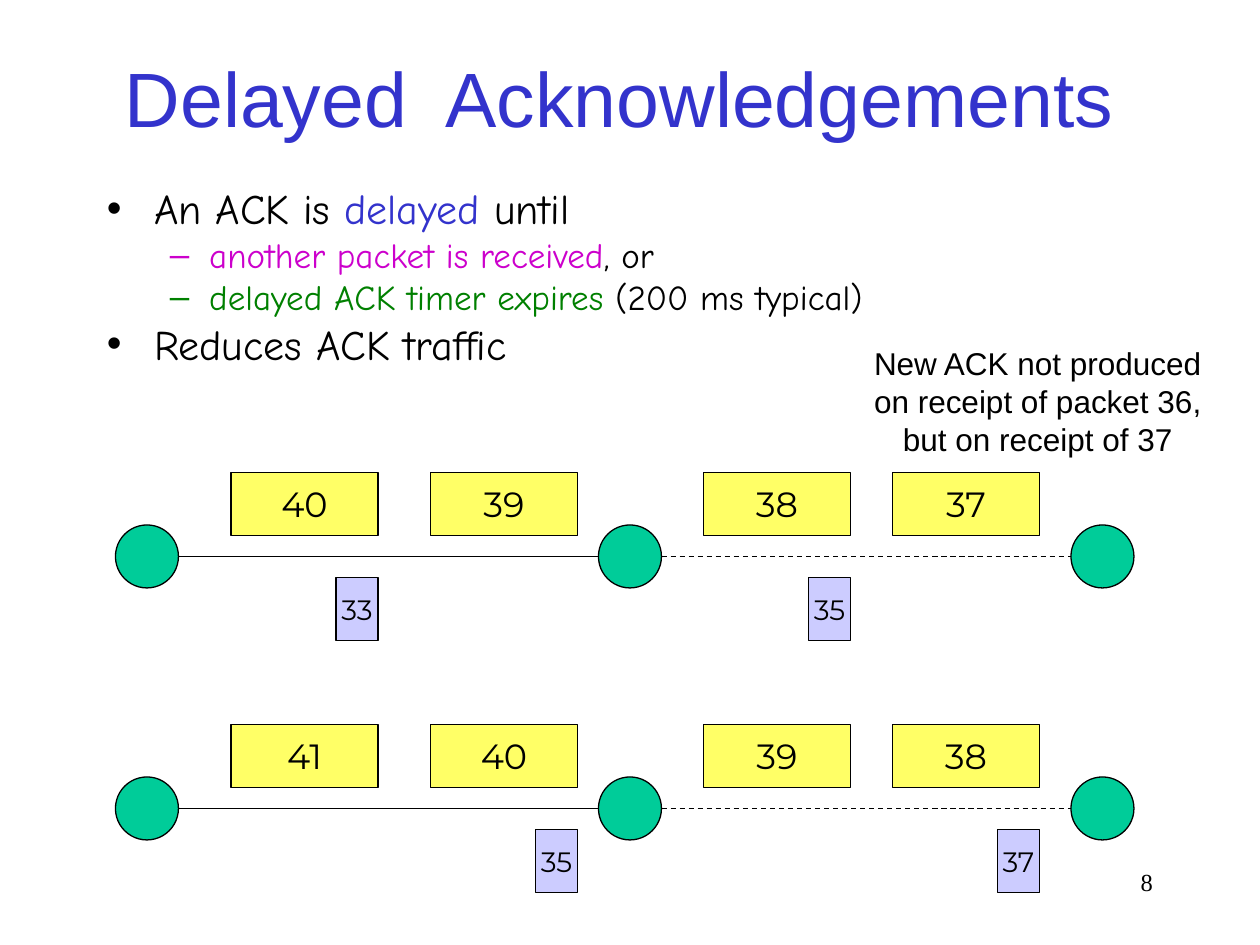
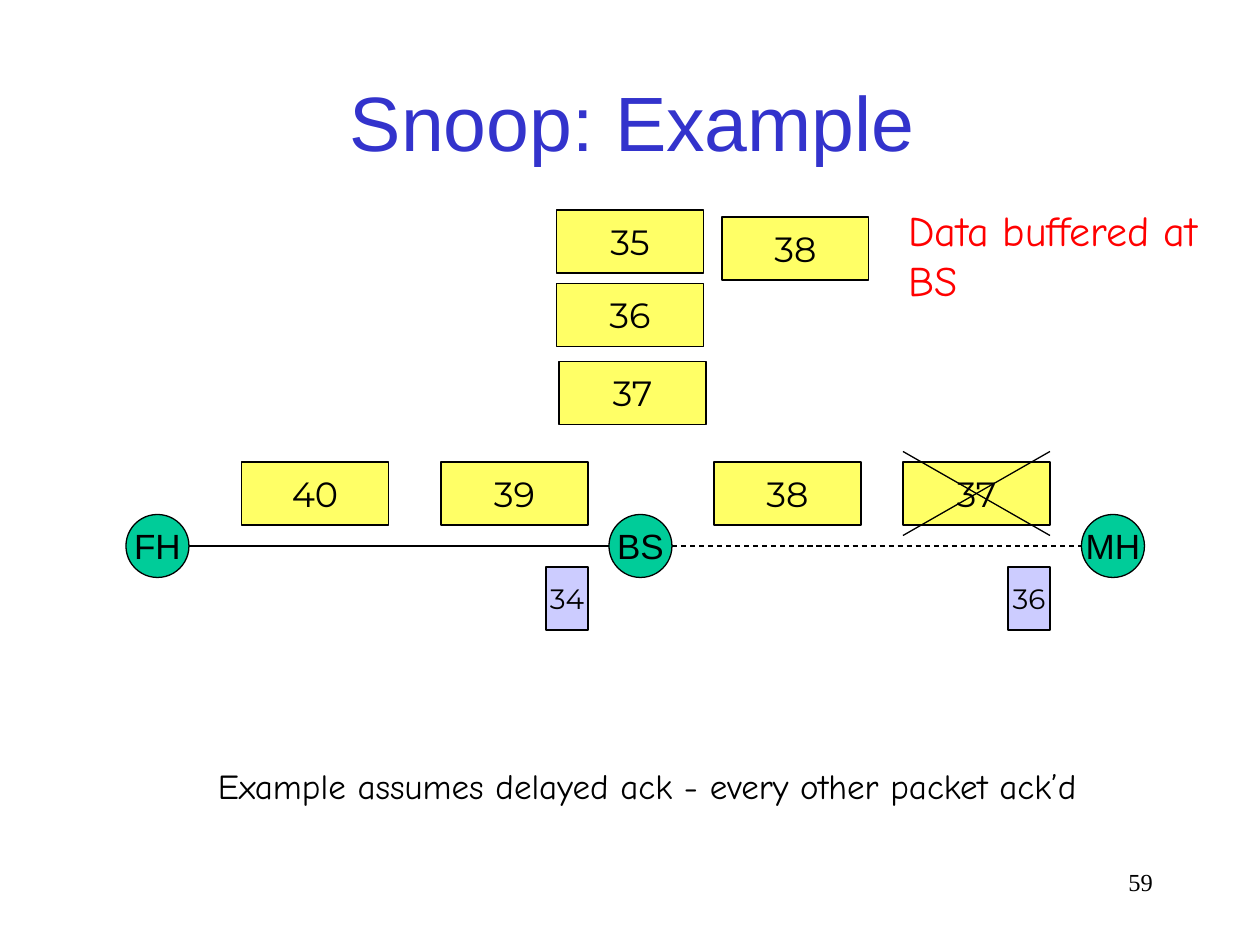
"""Build two slides on delayed acknowledgements and the Snoop protocol."""
from dataclasses import dataclass

import lxml.etree
import pptx
import pptx.dml.color
import pptx.enum.dml
import pptx.enum.shapes
import pptx.enum.text
import pptx.oxml.ns
import pptx.util

Pt = pptx.util.Pt
qn = pptx.oxml.ns.qn
Align = pptx.enum.text.PP_ALIGN
Anchor = pptx.enum.text.MSO_ANCHOR
AutoSize = pptx.enum.text.MSO_AUTO_SIZE
Shape = pptx.enum.shapes.MSO_SHAPE

COLORS = {
    "black": "000000",
    "blue": "3333CC",
    "magenta": "CC00CC",
    "green": "008000",
    "red": "FF0000",
    "node": "00CC99",
    "packet": "FFFF66",
    "ack": "CCCCFF",
}
SANS, HAND, DIGITS, SERIF = "Arial", "Comic Neue", "Montserrat", "Times New Roman"

NODE = 36
NODE_DX = (0, 276, 546)
PACKET_DX = (66, 180, 336, 444)
PACKET_W, ACK_W, BOX_H = 84, 24, 36
BOX_DY = 30
CROSS_MARGIN = 6


@dataclass(frozen=True)
class Box:
    x: float
    y: float
    w: float
    h: float


@dataclass(frozen=True)
class Level:
    char: str
    size: float
    left: float
    hang: float
    before: float


@dataclass(frozen=True)
class Bullet:
    level: int
    color: str
    runs: tuple[tuple[str, str], ...]


@dataclass(frozen=True)
class Link:
    x: float
    y: float
    packets: tuple[str, ...]
    acks: dict[int, str]
    nodes: tuple[str, ...] = ("", "", "")


LEVELS = (Level("•", 24, 27, 27, 6), Level("–", 20, 58.5, 22.5, 5))

BULLETS = (
    Bullet(0, "black", (("An ACK is ", "black"), ("delayed ", "blue"), ("until", "black"))),
    Bullet(1, "magenta", (("another packet is received", "magenta"), (", or", "black"))),
    Bullet(1, "green", (("delayed ACK timer expires", "green"), (" (200 ms typical)", "black"))),
    Bullet(0, "black", (("Reduces ACK traffic", "black"),)),
)

DELAYED_LINKS = (
    Link(66, 300, ("40", "39", "38", "37"), {0: "33", 2: "35"}),
    Link(66, 444, ("41", "40", "39", "38"), {1: "35", 3: "37"}),
)
SNOOP_LINK = Link(72, 294, ("40", "39", "38", "37"), {1: "34", 3: "36"}, ("FH", "BS", "MH"))
LOST_PACKET = 3
BUFFERED = (("35", 318, 120), ("36", 318, 162), ("38", 412.5, 124), ("37", 319.5, 206.5))


def rgb(name: str) -> pptx.dml.color.RGBColor:
    return pptx.dml.color.RGBColor.from_string(COLORS[name])


def place(sp, box: Box) -> None:
    sp.left, sp.top, sp.width, sp.height = (Pt(v) for v in (box.x, box.y, box.w, box.h))


def add_run(p, text: str, *, size: float, font: str, color: str = "black") -> None:
    r = p.add_run()
    r.text = text
    r.font.size = Pt(size)
    r.font.name = font
    r.font.color.rgb = rgb(color)


def write(tf, text: str, *, size: float, font: str, color: str = "black",
          align=Align.CENTER, anchor=Anchor.MIDDLE, wrap: bool = False,
          auto_size=AutoSize.NONE) -> None:
    tf.word_wrap = wrap
    tf.auto_size = auto_size
    tf.vertical_anchor = anchor
    for i, line in enumerate(text.split("\n")):
        p = tf.add_paragraph() if i else tf.paragraphs[0]
        p.alignment = align
        add_run(p, line, size=size, font=font, color=color)


def add_text(s, box: Box, text: str, **fmt) -> None:
    sp = s.shapes.add_textbox(0, 0, 0, 0)
    place(sp, box)
    write(sp.text_frame, text, **fmt)


def add_slide(prs, title: str, box: Box, number: str):
    s = prs.slides.add_slide(prs.slide_layouts[5])
    place(s.shapes.title, box)
    write(s.shapes.title.text_frame, title, size=44, font=SANS, color="blue", wrap=True)
    add_text(s, Box(516, 492, 150, 36), number, size=14, font=SERIF,
             align=Align.RIGHT, anchor=Anchor.TOP, wrap=True)
    return s


def add_bullets(s, box: Box, bullets: tuple[Bullet, ...]) -> None:
    sp = s.shapes.add_textbox(0, 0, 0, 0)
    place(sp, box)
    tf = sp.text_frame
    tf.word_wrap = True
    for i, bullet in enumerate(bullets):
        level = LEVELS[bullet.level]
        p = tf.add_paragraph() if i else tf.paragraphs[0]
        p.level = bullet.level
        p.line_spacing = 0.8
        if i:
            p.space_before = Pt(level.before)
        pPr = p._p.get_or_add_pPr()
        pPr.set("marL", str(Pt(level.left)))
        pPr.set("indent", str(-Pt(level.hang)))
        clr = lxml.etree.SubElement(pPr, qn("a:buClr"))
        lxml.etree.SubElement(clr, qn("a:srgbClr"), val=COLORS[bullet.color])
        lxml.etree.SubElement(pPr, qn("a:buFont"), typeface=SANS)
        lxml.etree.SubElement(pPr, qn("a:buChar"), char=level.char)
        for text, color in bullet.runs:
            add_run(p, text, size=level.size, font=HAND, color=color)


def add_block(s, kind, box: Box, fill: str, text: str = "", **fmt) -> None:
    sp = s.shapes.add_shape(kind, 0, 0, 0, 0)
    place(sp, box)
    sp.shadow.inherit = False
    sp.fill.solid()
    sp.fill.fore_color.rgb = rgb(fill)
    sp.line.color.rgb = rgb("black")
    sp.line.width = Pt(0.75)
    if text:
        write(sp.text_frame, text, **fmt)


def add_packet(s, x: float, y: float, text: str) -> None:
    add_block(s, Shape.RECTANGLE, Box(x, y, PACKET_W, BOX_H), "packet", text,
              size=20, font=DIGITS)


def add_line(s, x1: float, y1: float, x2: float, y2: float, dashed: bool = False) -> None:
    sp = s.shapes.add_connector(pptx.enum.shapes.MSO_CONNECTOR.STRAIGHT,
                                Pt(x1), Pt(y1), Pt(x2), Pt(y2))
    sp.line.color.rgb = rgb("black")
    sp.line.width = Pt(0.75)
    if dashed:
        sp.line.dash_style = pptx.enum.dml.MSO_LINE.DASH
    lxml.etree.SubElement(sp._element.spPr, qn("a:effectLst"))


def add_link(s, link: Link) -> None:
    for dx, name in zip(NODE_DX, link.nodes):
        add_block(s, Shape.OVAL, Box(link.x + dx, link.y, NODE, NODE), "node", name,
                  size=20, font=SANS)
    mid = link.y + NODE / 2
    for i, (start, end) in enumerate(zip(NODE_DX, NODE_DX[1:])):
        add_line(s, link.x + start + NODE, mid, link.x + end, mid, dashed=i == 1)
    for dx, text in zip(PACKET_DX, link.packets):
        add_packet(s, link.x + dx, link.y - BOX_DY, text)
    for i, text in link.acks.items():
        x = link.x + PACKET_DX[i] + PACKET_W - ACK_W
        add_block(s, Shape.RECTANGLE, Box(x, link.y + BOX_DY, ACK_W, BOX_H), "ack", text,
                  size=16, font=DIGITS)


def cross_out(s, link: Link, index: int) -> None:
    left = link.x + PACKET_DX[index]
    top = link.y - BOX_DY - CROSS_MARGIN
    bottom = top + BOX_H + 2 * CROSS_MARGIN
    add_line(s, left, top, left + PACKET_W, bottom)
    add_line(s, left, bottom, left + PACKET_W, top)


def delayed_acks(prs) -> None:
    s = add_slide(prs, "Delayed  Acknowledgements", Box(48, 21, 612, 69), "8")
    add_bullets(s, Box(54, 106.5, 612, 109.5), BULLETS)
    for link in DELAYED_LINKS:
        add_link(s, link)
    add_text(s, Box(492, 193, 202, 72),
             "New ACK not produced\non receipt of packet 36,\nbut on receipt of 37",
             size=18, font=SANS, anchor=Anchor.TOP, auto_size=AutoSize.SHAPE_TO_FIT_TEXT)


def snoop_example(prs) -> None:
    s = add_slide(prs, "Snoop: Example", Box(55.5, 24, 612, 90), "59")
    add_link(s, SNOOP_LINK)
    cross_out(s, SNOOP_LINK, LOST_PACKET)
    for text, x, y in BUFFERED:
        add_packet(s, x, y, text)
    add_text(s, Box(117.5, 433.5, 507, 31.5),
             "Example assumes delayed ack - every other packet ack’d",
             size=20, font=HAND, align=Align.LEFT, anchor=Anchor.TOP,
             auto_size=AutoSize.SHAPE_TO_FIT_TEXT)
    add_text(s, Box(512, 113, 184.5, 65), "Data buffered at BS", size=24, font=HAND,
             color="red", align=Align.LEFT, wrap=True, auto_size=AutoSize.SHAPE_TO_FIT_TEXT)


def main() -> None:
    prs = pptx.Presentation()
    prs.slide_width, prs.slide_height = Pt(720), Pt(540)
    delayed_acks(prs)
    snoop_example(prs)
    prs.save("out.pptx")


if __name__ == "__main__":
    main()
